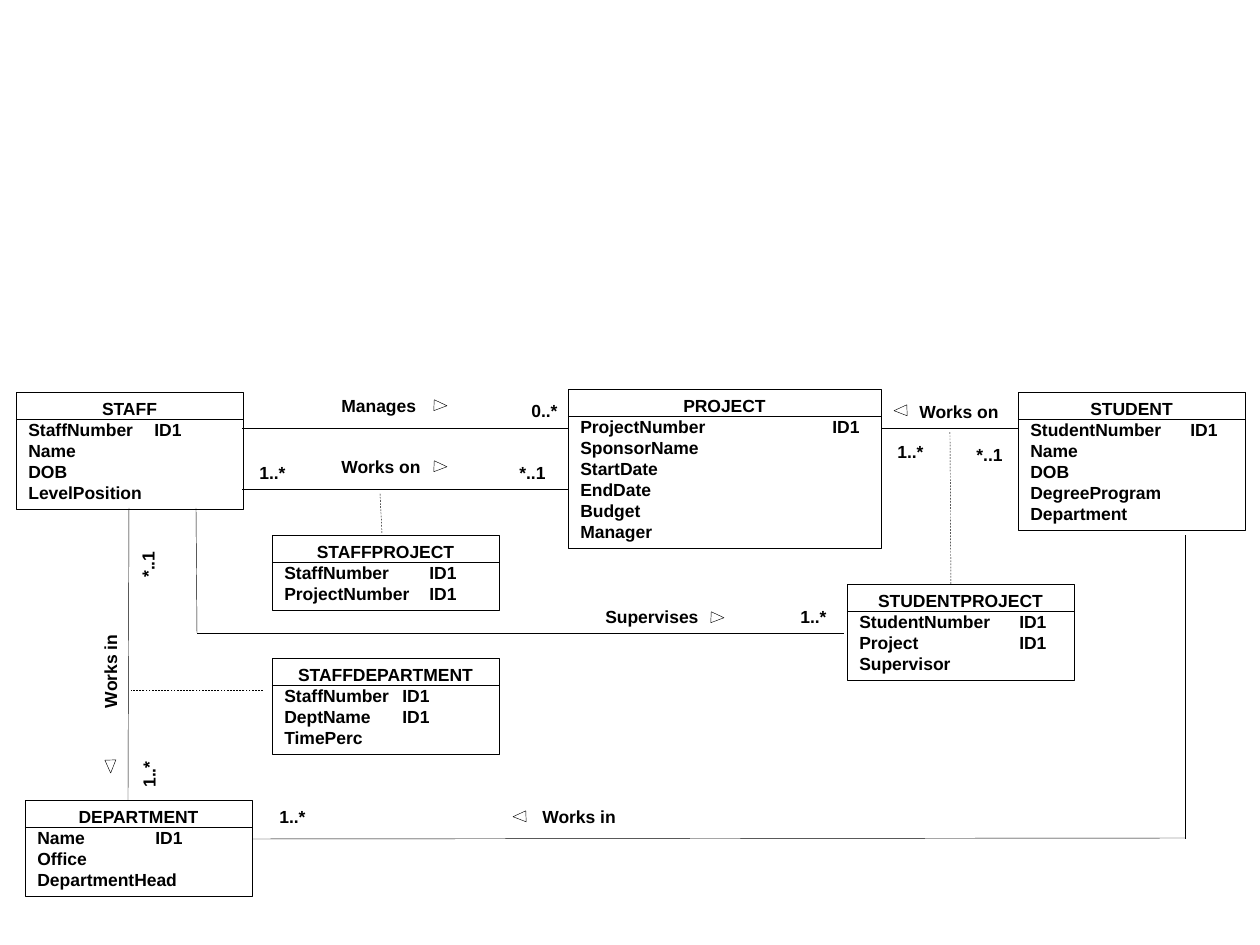
"""Build a slide with a class diagram of staff, projects, students and departments."""
from lxml import etree
from pptx import Presentation
from pptx.dml.color import RGBColor
from pptx.enum.dml import MSO_LINE
from pptx.enum.shapes import MSO_CONNECTOR, MSO_SHAPE
from pptx.enum.text import MSO_ANCHOR, PP_ALIGN
from pptx.oxml.ns import qn
from pptx.util import Emu, Pt

STRAIGHT = MSO_CONNECTOR.STRAIGHT
RECT, TRIANGLE = MSO_SHAPE.RECTANGLE, MSO_SHAPE.ISOSCELES_TRIANGLE
DASH = MSO_LINE.DASH
TOP = MSO_ANCHOR.TOP
LEFT, CENTER = PP_ALIGN.LEFT, PP_ALIGN.CENTER

COLORS = {"ink": "000000", "paper": "FFFFFF"}
FONT, SIZE = "Arial", 10
LINE_HEIGHT, PADDING, TITLE_HEIGHT = 21, 12, 27
LABEL_HEIGHT, COUNT_WIDTH = 33, 55
ARROW_W, ARROW_H = 11, 13

# name, left, top, width, ID tab, attributes
ENTITIES = [
    ("PROJECT", 568, 389, 313, 252,
     ["ProjectNumber\tID1", "SponsorName", "StartDate", "EndDate", "Budget", "Manager"]),
    ("STAFF", 16, 392, 227, 126,
     ["StaffNumber\tID1", "Name", "DOB", "LevelPosition"]),
    ("STAFFPROJECT", 272, 535, 227, 145,
     ["StaffNumber\tID1", "ProjectNumber\tID1"]),
    ("STUDENT", 1018, 392, 227, 160,
     ["StudentNumber\tID1", "Name", "DOB", "DegreeProgram", "Department"]),
    ("STUDENTPROJECT", 847, 584, 227, 160,
     ["StudentNumber\tID1", "Project\tID1", "Supervisor"]),
    ("DEPARTMENT", 25, 800, 227, 118,
     ["Name\tID1", "Office", "DepartmentHead"]),
    ("STAFFDEPARTMENT", 272, 658, 227, 118,
     ["StaffNumber\tID1", "DeptName\tID1", "TimePerc"]),
]
ASSOCIATIONS = [
    (568, 428, 242, 428), (568, 489, 242, 489), (1018, 428, 881, 428),
    (128, 800, 129, 508), (1185, 839, 1185, 535), (1185, 838, 253, 839),
    (197, 633, 196, 508), (844, 633, 197, 633),
]
CLASS_LINKS = [(951, 584, 950, 432), (382, 533, 380, 493), (263, 690, 131, 690)]
# text, left, top, width, rotation
ROLES = [
    ("Manages", 329, 389, 110, 0), ("Works on", 329, 450, 110, 0),
    ("Works on", 907, 395, 110, 0), ("Works in", 55, 649, 110, 270),
    ("Works in", 530, 800, 110, 0), ("Supervises", 593, 600, 124, 0),
]
# text, left, top, rotation
COUNTS = [
    ("1..*", 247, 456, 0), ("*..1", 507, 456, 0), ("1..*", 885, 435, 0),
    ("*..1", 964, 438, 0), ("1..*", 121, 756, 270), ("*..1", 120, 546, 270),
    ("1..*", 267, 800, 0), ("1..*", 788, 600, 0), ("0..*", 519, 394, 0),
]
# left, top, rotation
ARROWS = [
    (435, 399, 92.4), (435, 460, 92.4), (895, 404, 268.1),
    (105, 760, 178.5), (514, 810, 268.1), (712, 611, 92.4),
]


def px(n):
    return Emu(round(n * 914400 / 126))


def rgb(name):
    return RGBColor.from_string(COLORS[name])


def outline(sp):
    sp.line.color.rgb = rgb("ink")
    sp.line.width = Pt(0.25)


def add_line(shapes, ends, dashed=False):
    c = shapes.add_connector(STRAIGHT, *map(px, ends))
    outline(c)
    if dashed:
        c.line.dash_style = DASH
    etree.SubElement(c._element.spPr, qn("a:effectLst"))


def write(p, text, align=LEFT, tab=None):
    p.text = text
    p.alignment = align
    if tab:
        tabs = etree.SubElement(p._p.get_or_add_pPr(), qn("a:tabLst"))
        etree.SubElement(tabs, qn("a:tab"), pos=str(px(tab)), algn="l")
    p.font.name, p.font.size, p.font.bold = FONT, Pt(SIZE), True
    p.font.color.rgb = rgb("ink")


def add_entity(s, name, x, y, w, tab, attributes):
    shapes = s.shapes.add_group_shape().shapes
    h = PADDING + LINE_HEIGHT * (len(attributes) + 1)
    sp = shapes.add_shape(RECT, *map(px, (x, y, w, h)))
    sp.shadow.inherit = False
    sp.fill.background()
    outline(sp)
    tf = sp.text_frame
    tf.word_wrap, tf.vertical_anchor = True, TOP
    write(tf.paragraphs[0], name, CENTER)
    for text in attributes:
        write(tf.add_paragraph(), text, tab=tab)
    add_line(shapes, (x, y + TITLE_HEIGHT, x + w, y + TITLE_HEIGHT))


def add_label(s, text, x, y, w, rotation):
    sp = s.shapes.add_textbox(*map(px, (x, y, w, LABEL_HEIGHT)))
    sp.rotation = rotation
    sp.text_frame.word_wrap = True
    write(sp.text_frame.paragraphs[0], text)


def add_arrow(s, x, y, rotation):
    sp = s.shapes.add_shape(TRIANGLE, *map(px, (x, y, ARROW_W, ARROW_H)))
    sp.rotation = rotation
    sp.shadow.inherit = False
    sp.fill.solid()
    sp.fill.fore_color.rgb = rgb("paper")
    outline(sp)


def main():
    prs = Presentation()
    prs.slide_width, prs.slide_height = px(1260), px(945)
    s = prs.slides.add_slide(prs.slide_layouts[6])
    for entity in ENTITIES:
        add_entity(s, *entity)
    for ends in ASSOCIATIONS:
        add_line(s.shapes, ends)
    for ends in CLASS_LINKS:
        add_line(s.shapes, ends, dashed=True)
    for role in ROLES:
        add_label(s, *role)
    for text, x, y, rotation in COUNTS:
        add_label(s, text, x, y, COUNT_WIDTH, rotation)
    for arrow in ARROWS:
        add_arrow(s, *arrow)
    prs.save("out.pptx")


if __name__ == "__main__":
    main()
